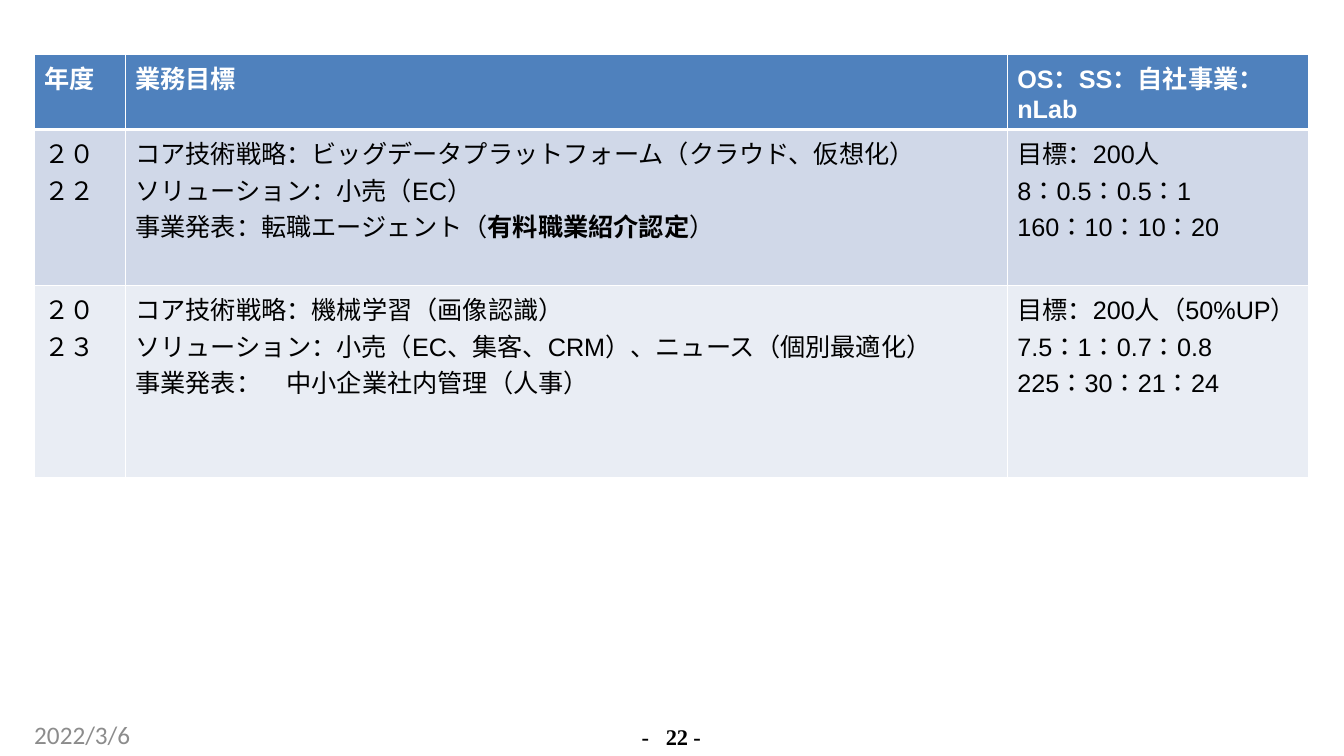
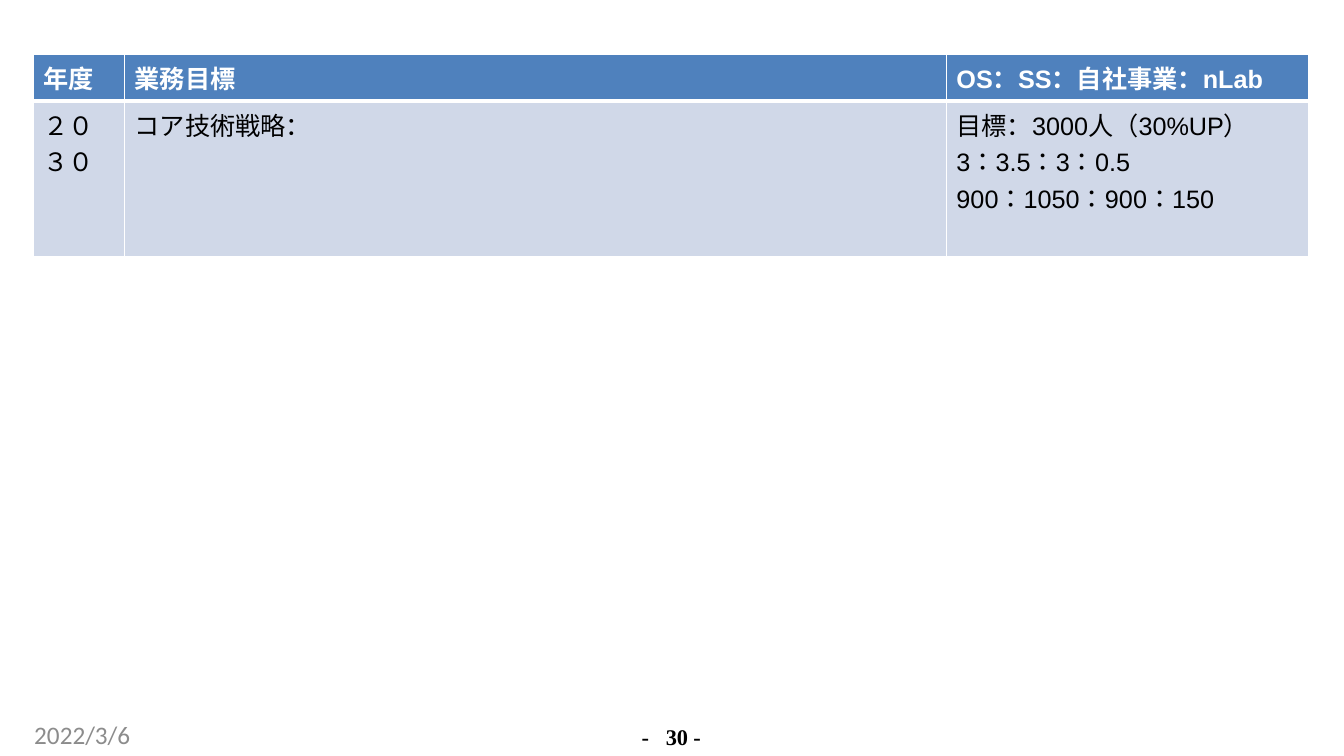
from lxml import etree
from pptx import Presentation
from pptx.dml.color import RGBColor
from pptx.enum.text import PP_ALIGN
from pptx.oxml.ns import qn
from pptx.util import Pt

CENTER, LEFT = PP_ALIGN.CENTER, PP_ALIGN.LEFT
COLORS = {
    "header": "4F81BD", "band_dark": "D0D8E8", "band_light": "E9EDF4",
    "white": "FFFFFF", "black": "000000", "date": "8C8C8C",
}
CJK_FONT = "Noto Sans CJK JP"
HEAD = {"name": "Arial", "size": Pt(18), "bold": True}
BODY = {**HEAD, "bold": False}
DATE = {"name": "Calibri", "size": Pt(18), "bold": False}
PAGE = {"name": "Times New Roman", "size": Pt(16), "bold": True}
TABLE_TOP = 39
DATE_BOX = (24.5, 514, 221, 21.5)
PAGE_BOX = (448.5, 517.5, 62, 18)
HEADERS = ["年度", "業務目標", "OS：SS：自社事業：nLab"]

SLIDES = [
    {
        "left": 24.5, "columns": (65, 630, 215), "heights": (52.5, 111.5, 137), "page": 22,
        "rows": [
            [
                ["２０２２"],
                [
                    ["コア技術戦略：ビッグデータプラットフォーム",
                     ("（クラウド、仮想化）", {"name": "Calibri"})],
                    "ソリューション：小売（EC）",
                    ["事業発表：転職エージェント（", ("有料職業紹介認定", {"bold": True}), "）"],
                ],
                ["目標：200人", "8：0.5：0.5：1", "160：10：10：20"],
            ],
            [
                ["２０２３"],
                [
                    "コア技術戦略：機械学習（画像認識）",
                    "ソリューション：小売（EC、集客、CRM）、ニュース（個別最適化）",
                    "事業発表：　中小企業社内管理（人事）",
                ],
                ["目標：200人（50%UP）", "7.5：1：0.7：0.8", "225：30：21：24"],
            ],
        ],
    },
    {
        "left": 24, "columns": (65, 587, 258.5), "heights": (33, 111), "page": 30,
        "rows": [
            [
                ["２０３０"],
                ["コア技術戦略："],
                ["目標：3000人（30%UP）", "3：3.5：3：0.5", "900：1050：900：150"],
            ],
        ],
    },
]


def add_run(p, text, style, color):
    r = p.add_run()
    r.text = text
    for key, value in style.items():
        setattr(r.font, key, value)
    r.font.color.rgb = RGBColor.from_string(COLORS[color])
    etree.SubElement(r.font._element, qn("a:ea"), typeface=CJK_FONT)
    return r


def write_lines(tf, lines, style, color):
    for i, line in enumerate(lines):
        p = tf.paragraphs[0] if i == 0 else tf.add_paragraph()
        for part in [line] if isinstance(line, str) else line:
            text, change = (part, {}) if isinstance(part, str) else part
            add_run(p, text, {**style, **change}, color)


def set_borders(cell, top, bottom):
    tc_pr = cell._tc.get_or_add_tcPr()
    for side, width in (("L", 1), ("R", 1), ("T", top), ("B", bottom)):
        line = etree.SubElement(tc_pr, qn(f"a:ln{side}"), w=str(Pt(width)))
        fill = etree.SubElement(line, qn("a:solidFill"))
        etree.SubElement(fill, qn("a:srgbClr"), val=COLORS["white"])


def add_goal_table(slide, left, top, columns, heights, rows):
    content = [[[text] for text in HEADERS]] + rows
    frame = slide.shapes.add_table(len(content), len(columns), Pt(left), Pt(top),
                                   Pt(sum(columns)), Pt(sum(heights)))
    table = frame.table
    table.first_row = table.horz_banding = False
    for column, width in zip(table.columns, columns):
        column.width = Pt(width)
    for i, (row, height) in enumerate(zip(table.rows, heights)):
        row.height = Pt(height)
        style, color = (HEAD, "white") if i == 0 else (BODY, "black")
        fill = "header" if i == 0 else ("band_light", "band_dark")[i % 2]
        for cell, lines in zip(row.cells, content[i]):
            set_borders(cell, 3 if i == 1 else 1, 3 if i == 0 else 1)
            cell.fill.solid()
            cell.fill.fore_color.rgb = RGBColor.from_string(COLORS[fill])
            write_lines(cell.text_frame, lines, style, color)


def add_label(slide, box, text, style, color, align):
    tf = slide.shapes.add_textbox(*map(Pt, box)).text_frame
    tf.word_wrap = True
    for side in ("left", "top", "right", "bottom"):
        setattr(tf, f"margin_{side}", 0)
    p = tf.paragraphs[0]
    p.alignment = align
    return p, add_run(p, text, style, color)


def add_footer(slide, page):
    p, r = add_label(slide, PAGE_BOX, f"-\t{page} -", PAGE, "black", CENTER)
    p.line_spacing = Pt(18.4)
    r.font._element.set("spc", "-10")
    tabs = etree.SubElement(p._p.get_or_add_pPr(), qn("a:tabLst"))
    etree.SubElement(tabs, qn("a:tab"), pos=str(Pt(17.3)), algn="l")
    add_label(slide, DATE_BOX, "2022/3/6", DATE, "date", LEFT)


def add_goal_slide(prs, left, columns, heights, rows, page):
    slide = prs.slides.add_slide(prs.slide_layouts[6])
    add_goal_table(slide, left, TABLE_TOP, columns, heights, rows)
    add_footer(slide, page)


def main():
    prs = Presentation()
    prs.slide_width, prs.slide_height = Pt(960), Pt(540)
    for goal in SLIDES:
        add_goal_slide(prs, **goal)
    prs.save("out.pptx")


if __name__ == "__main__":
    main()
